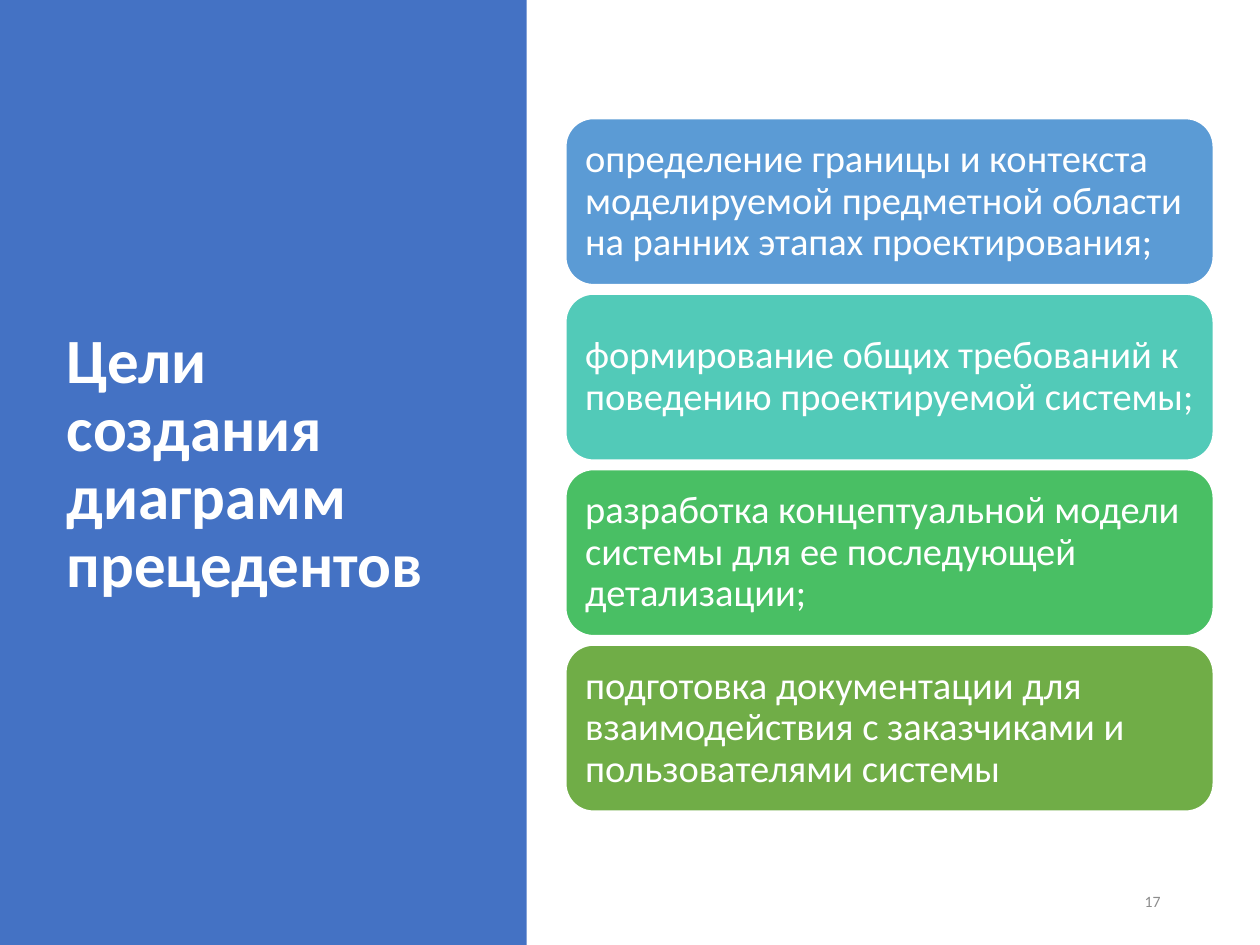
from pptx import Presentation
from pptx.dml.color import RGBColor
from pptx.enum.shapes import MSO_SHAPE
from pptx.enum.text import MSO_ANCHOR, MSO_AUTO_SIZE, PP_ALIGN
from pptx.util import Inches, Pt

WIDE, HIGH = Inches(10), Inches(7.5)
WHITE = RGBColor(0xFF, 0xFF, 0xFF)
GREY = RGBColor(0x8C, 0x8C, 0x8C)
BLUE = RGBColor(0x44, 0x72, 0xC4)
SKY = RGBColor(0x5B, 0x9B, 0xD5)
TEAL = RGBColor(0x52, 0xCA, 0xB8)
GREEN = RGBColor(0x49, 0xBF, 0x64)
OLIVE = RGBColor(0x70, 0xAD, 0x47)

GOALS = [
    ("определение границы и контекста моделируемой предметной области "
     "на ранних этапах проектирования;", SKY),
    ("формирование общих требований к поведению проектируемой системы;", TEAL),
    ("разработка концептуальной модели системы для ее последующей детализации;", GREEN),
    ("подготовка документации для взаимодействия с заказчиками и "
     "пользователями системы", OLIVE),
]

# Card column, in inches
LEFT, TOP, WIDTH, HEIGHT, STEP = 4.49, 0.94, 5.14, 1.32, 1.393
INSET = Inches(0.09)


def apply(item, values):
    """Set each named attribute of item."""
    for name, value in values.items():
        setattr(item, name, value)


def write(shape, text, size, color=WHITE, bold=False, frame=None, para=None):
    """Put one formatted paragraph in shape, centred vertically."""
    body = shape.text_frame
    body.text = text
    apply(body, {"word_wrap": True, "auto_size": MSO_AUTO_SIZE.NONE,
                 "vertical_anchor": MSO_ANCHOR.MIDDLE, **(frame or {})})
    line = body.paragraphs[0]
    apply(line, {"alignment": PP_ALIGN.LEFT, **(para or {})})
    font = line.runs[0].font
    apply(font, {"name": "Calibri", "size": Pt(size), "bold": bold})
    font.color.rgb = color


def add_block(slide, kind, box, color):
    shape = slide.shapes.add_shape(kind, *box)
    shape.shadow.inherit = False
    shape.fill.solid()
    shape.fill.fore_color.rgb = color
    shape.line.fill.background()
    return shape


def add_panel(slide):
    """Fill the left side, behind the title."""
    panel = add_block(slide, MSO_SHAPE.RECTANGLE, (0, 0, Inches(4.18), HIGH), BLUE)
    slide.shapes.title._element.addprevious(panel._element)


def add_title(slide, text):
    title = slide.shapes.title
    apply(title, {"left": Inches(0.43), "top": Inches(0.68),
                  "width": Inches(3.12), "height": Inches(6.02)})
    write(title, text, 36, bold=True, para={"line_spacing": 0.9})


def add_card(slide, row, text, color):
    box = [Inches(n) for n in (LEFT, TOP + row * STEP, WIDTH, HEIGHT)]
    card = add_block(slide, MSO_SHAPE.ROUNDED_RECTANGLE, box, color)
    card.line.color.rgb = WHITE
    card.line.width = Pt(1)
    sides = ("left", "top", "right", "bottom")
    write(card, text, 22, frame={f"margin_{side}": INSET for side in sides},
          para={"line_spacing": 0.9})


def add_number(slide, text):
    box = slide.shapes.add_textbox(*map(Inches, (7.06, 6.95, 2.25, 0.4)))
    write(box, text, 9, GREY,
          para={"alignment": PP_ALIGN.RIGHT, "space_after": Pt(6)})


def main():
    deck = Presentation()
    apply(deck, {"slide_width": WIDE, "slide_height": HIGH})
    slide = deck.slides.add_slide(deck.slide_layouts.get_by_name("Title Only"))
    add_panel(slide)
    add_title(slide, "Цели создания диаграмм прецедентов")
    add_number(slide, "17")
    for row, (text, color) in enumerate(GOALS):
        add_card(slide, row, text, color)
    deck.save("out.pptx")


if __name__ == "__main__":
    main()
